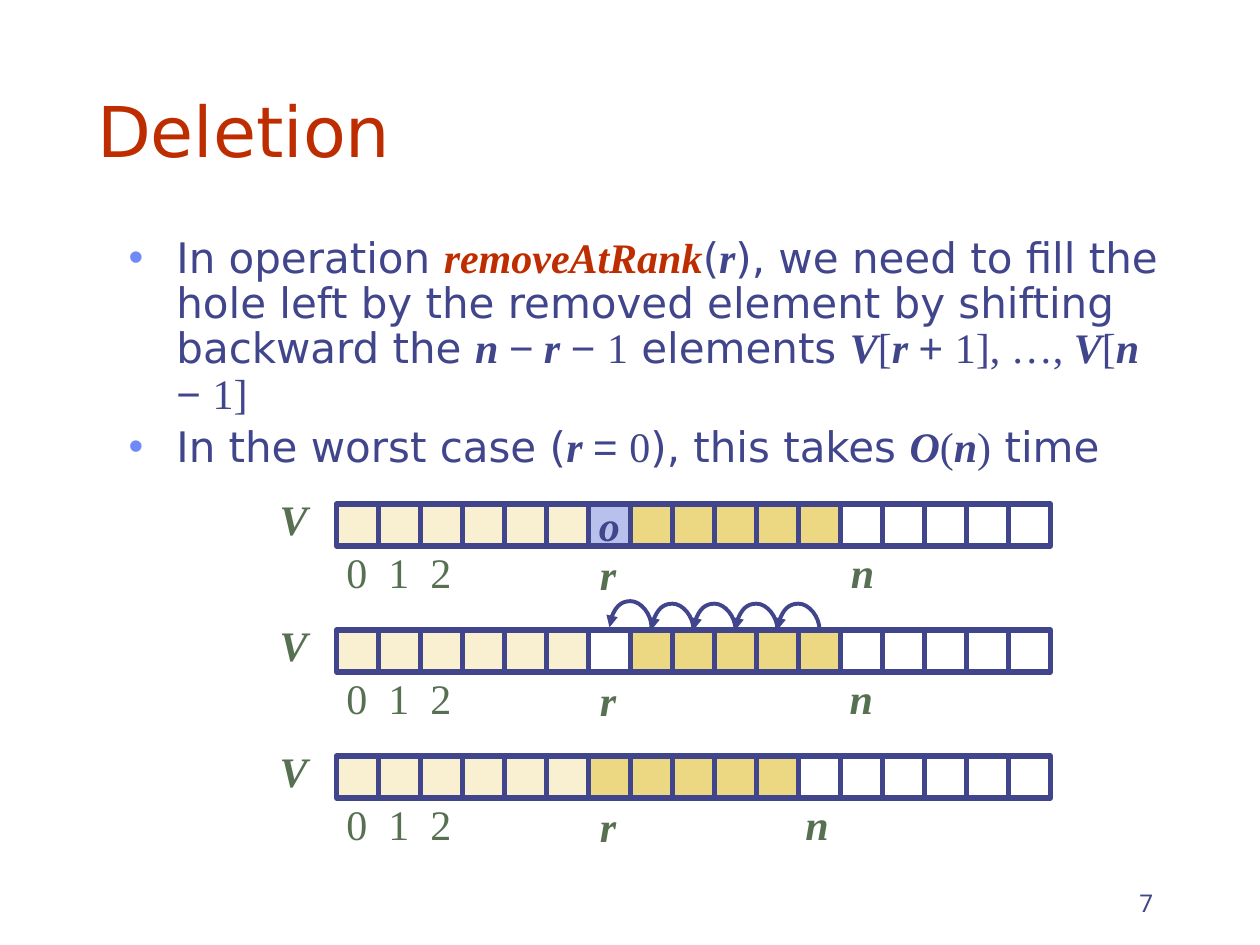
"""Build the slide on deletion from an array-based vector."""
from lxml import etree
from pptx import Presentation
from pptx.dml.color import RGBColor
from pptx.enum import shapes, text
from pptx.oxml import ns
from pptx.util import Emu, Inches, Pt

NAVY = RGBColor(0x40, 0x45, 0x8C)
RED = RGBColor(0xBE, 0x2D, 0x00)
GREEN = RGBColor(0x57, 0x70, 0x52)
CREAM = RGBColor(0xF8, 0xF0, 0xD0)
GOLD = RGBColor(0xEC, 0xD8, 0x82)
LILAC = RGBColor(0xB7, 0xC1, 0xEB)
WHITE = RGBColor(0xFF, 0xFF, 0xFF)
BULLET = "6F89F7"

SANS = ("DejaVu Sans", False, NAVY)
MATH = ("Times New Roman", False, NAVY)
VAR = ("Times New Roman", True, NAVY)
SIGN = ("Arial", False, NAVY)
CALL = ("Times New Roman", True, RED)
HEAD = ("DejaVu Sans", False, RED)
PAGE = ("Roboto", False, NAVY)
INDEX = ("Times New Roman", False, GREEN)
NAME = ("Times New Roman", True, GREEN)

LEFT, CELL = 2.67, 1 / 3
RANK = 6
LAST = 17
POINTS = [
    [("In operation ", SANS), ("removeAtRank", CALL), ("(", SANS), ("r", VAR),
     ("), we need to fill the hole left by the removed element by shifting backward the ", SANS),
     ("n ", VAR), ("−", SIGN), (" r ", VAR), ("− ", SIGN), ("1", MATH), (" elements ", SANS),
     ("V", VAR), ("[", MATH), ("r ", VAR), ("+ ", SIGN), ("1], …, ", MATH),
     ("V", VAR), ("[", MATH), ("n ", VAR), ("− ", SIGN), ("1]", MATH)],
    [("In the worst case (", SANS), ("r ", VAR), ("= ", SIGN), ("0", MATH),
     ("), this takes ", SANS), ("O", VAR), ("(", MATH), ("n", VAR), (")", MATH),
     (" time", SANS)],
]
ROWS = [
    (4, [CREAM] * 6 + [LILAC] + [GOLD] * 5, 6.69),
    (5, [CREAM] * 6 + [WHITE] + [GOLD] * 5, 6.68),
    (6, [CREAM] * 6 + [GOLD] * 5, 6.33),
]


def add(node, tag, **attrs):
    """Append a drawing element to a node."""
    return etree.SubElement(node, ns.qn(tag), attrs)


class Deck:
    """Holds the style and the current slide."""

    def __init__(self):
        self.prs = Presentation()
        self.prs.slide_width, self.prs.slide_height = Inches(10), Inches(7.5)
        self.slide = self.prs.slides.add_slide(self.prs.slide_layouts[1])
        self.shapes = self.slide.shapes

    def runs(self, para, parts, size=24):
        """Write styled runs into a paragraph."""
        for words, (face, strong, color) in parts:
            run = para.add_run()
            run.text = words
            font = run.font
            font.name, font.size = face, Pt(size)
            font.bold = font.italic = strong
            font.color.rgb = color

    def place(self, shape, x, y, w, h):
        """Move and size a shape."""
        shape.left, shape.top = Inches(x), Inches(y)
        shape.width, shape.height = Inches(w), Inches(h)

    def title(self, words):
        """Fill the title placeholder."""
        shape = self.shapes.title
        self.place(shape, 0.67, 0.33, 8.5, 1.08)
        frame = shape.text_frame
        frame.auto_size = text.MSO_AUTO_SIZE.NONE
        frame.vertical_anchor = text.MSO_ANCHOR.BOTTOM
        para = frame.paragraphs[0]
        para.alignment = text.PP_ALIGN.LEFT
        self.runs(para, [(words, HEAD)], 40)

    def body(self, points):
        """Fill the body placeholder with bulleted points."""
        shape = self.slide.placeholders[1]
        self.place(shape, 0.92, 1.83, 8.5, 1.75)
        frame = shape.text_frame
        frame.auto_size = text.MSO_AUTO_SIZE.NONE
        for i, parts in enumerate(points):
            para = frame.add_paragraph() if i else frame.paragraphs[0]
            para.line_spacing, para.space_before = 0.9, Pt(4.5)
            props = para._p.get_or_add_pPr()
            props.set("marL", str(Inches(0.38)))
            props.set("indent", str(-Inches(0.38)))
            add(add(props, "a:buClr"), "a:srgbClr", val=BULLET)
            add(props, "a:buFont", typeface="Arial")
            add(props, "a:buChar", char="•")
            self.runs(para, parts)

    def page(self, words):
        """Add the page number."""
        frame = self.shapes.add_textbox(
            Inches(7.17), Inches(6.83), Inches(2.08), Inches(0.5)).text_frame
        frame.word_wrap = True
        frame.vertical_anchor = text.MSO_ANCHOR.BOTTOM
        para = frame.paragraphs[0]
        para.alignment = text.PP_ALIGN.RIGHT
        self.runs(para, [(words, PAGE)], 14)

    def label(self, words, x, y, w, style=NAME):
        """Add a tight label, centred if it is a name."""
        frame = self.shapes.add_textbox(
            Inches(x), Inches(y), Inches(w), Inches(0.4)).text_frame
        frame.margin_left = frame.margin_right = 0
        frame.margin_top = frame.margin_bottom = 0
        frame.auto_size = text.MSO_AUTO_SIZE.SHAPE_TO_FIT_TEXT
        frame.word_wrap = style is NAME
        para = frame.paragraphs[0]
        para.alignment = text.PP_ALIGN.CENTER if style is NAME else text.PP_ALIGN.LEFT
        self.runs(para, [(words, style)])

    def cell(self, x, y, color):
        """Add one array cell."""
        shape = self.shapes.add_shape(
            shapes.MSO_SHAPE.RECTANGLE, Inches(x), Inches(y), Inches(CELL), Inches(CELL))
        shape.shadow.inherit = False
        shape.fill.solid()
        shape.fill.fore_color.rgb = color
        shape.line.color.rgb, shape.line.width = NAVY, Pt(3)
        return shape

    def row(self, top, fills, end):
        """Add an array with its labels."""
        self.label("V", 2.17, top - 0.08, 0.32)
        for i in range(3):
            self.label(str(i), 2.75 + i * CELL, top + 0.34, 0.17, INDEX)
        self.label("n", end, top + 0.34, 0.31)
        for i in range(LAST):
            color = fills[i] if i < len(fills) else WHITE
            shape = self.cell(LEFT + i * CELL, top, color)
            if color == LILAC:
                frame = shape.text_frame
                frame.word_wrap = False
                frame.vertical_anchor = text.MSO_ANCHOR.MIDDLE
                frame.paragraphs[0].alignment = text.PP_ALIGN.CENTER
                self.runs(frame.paragraphs[0], [("o", VAR)])
        self.label("r", 4.67, top + 0.35, 0.31)

    def hop(self, x, y):
        """Add a curved arrow back over one cell edge."""
        thin, half = Emu(1588), CELL / 2
        line = self.shapes.add_connector(
            shapes.MSO_CONNECTOR.CURVE, Inches(x), Inches(y + half),
            Inches(x) + thin, Inches(y - half))
        line.line.color.rgb, line.line.width = NAVY, Pt(2.25)
        props = line._element.spPr
        props.find(ns.qn("a:xfrm")).set("rot", "5400000")
        guides = props.find(ns.qn("a:prstGeom")).find(ns.qn("a:avLst"))
        add(guides, "a:gd", name="adj1", fmla="val -13200000")
        add(line.line._get_or_add_ln(), "a:headEnd", type="triangle")
        add(props, "a:effectLst")


def main():
    """Build and save the slide."""
    deck = Deck()
    deck.title("Deletion")
    deck.body(POINTS)
    deck.page("7")
    for row in ROWS:
        deck.row(*row)
    for i in range(5):
        deck.hop(LEFT + (RANK + 1 + i) * CELL, 5 if i else 4.98)
    deck.prs.save("out.pptx")


if __name__ == "__main__":
    main()
